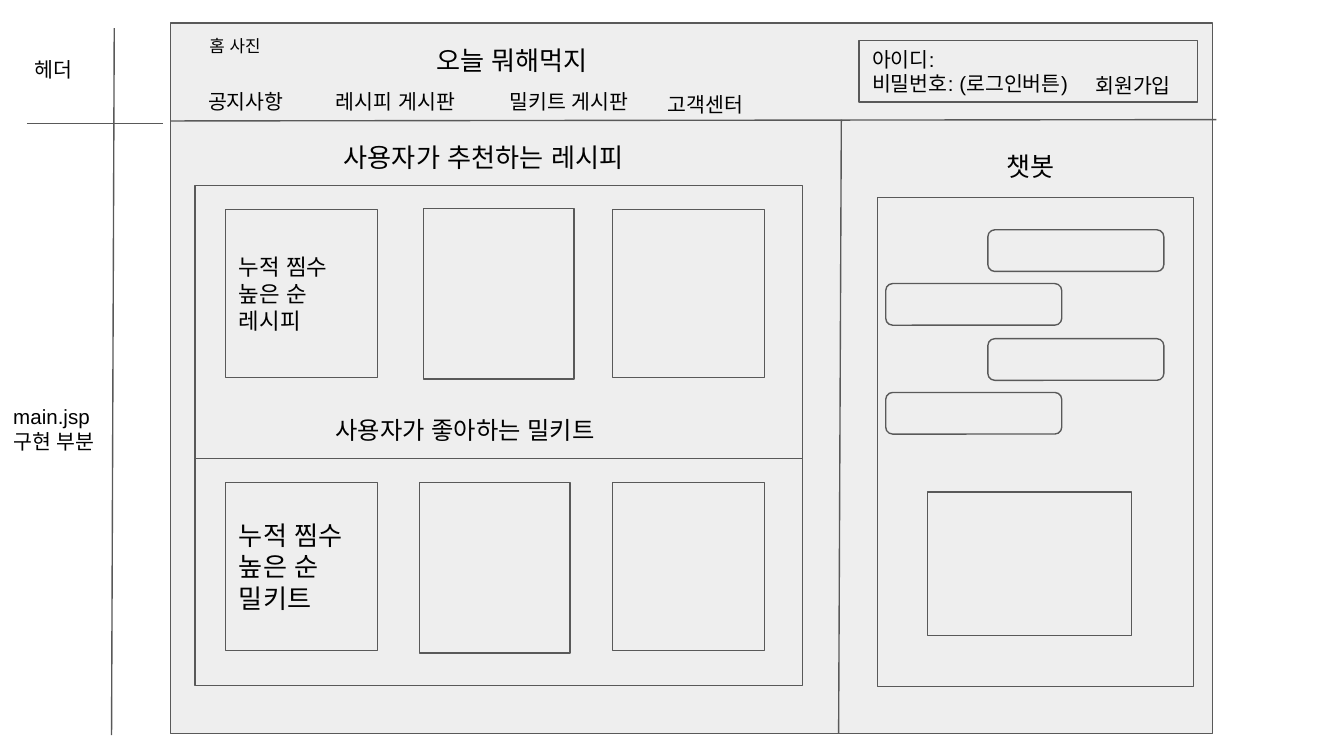
import pptx
import pptx.util
import pptx.dml.color
import pptx.enum.lang
import pptx.enum.shapes
import pptx.enum.text
import pptx.oxml.ns
from lxml import etree

EMU_PER_PX = 9144
PANEL = pptx.dml.color.RGBColor(0xEE, 0xEE, 0xEE)
OUTLINE = pptx.dml.color.RGBColor(0x59, 0x59, 0x59)
BLACK = pptx.dml.color.RGBColor(0, 0, 0)
SHAPE = pptx.enum.shapes.MSO_SHAPE
ANCHOR = pptx.enum.text.MSO_ANCHOR
ALIGN = pptx.enum.text.PP_ALIGN
FIT = pptx.enum.text.MSO_AUTO_SIZE


def px(count):
    return pptx.util.Emu(count * EMU_PER_PX)


def inside(box, left, top, width, height):
    return box[0] + left, box[1] + top, width, height


def write(shape, text, size=11, align=ALIGN.LEFT, anchor=ANCHOR.TOP, fit=FIT.NONE):
    frame = shape.text_frame
    frame.word_wrap = True
    frame.auto_size = fit
    frame.vertical_anchor = anchor
    frame.margin_left = frame.margin_right = px(10)
    frame.margin_top = frame.margin_bottom = px(10)
    para = frame.paragraphs[0]
    para.text = text
    para.alignment = align
    for span in para.runs:
        span.font.name = "Arial"
        span.font.size = pptx.util.Pt(size)
        span.font.color.rgb = BLACK
        span.font.language_id = pptx.enum.lang.MSO_LANGUAGE_ID.KOREAN
    for line_break in shape.element.iter(pptx.oxml.ns.qn("a:br")):
        etree.SubElement(line_break, pptx.oxml.ns.qn("a:rPr"), sz=str(size * 100))


def add_label(page, box, text, fit=FIT.SHAPE_TO_FIT_TEXT, **style):
    write(page.shapes.add_textbox(*map(px, box)), text, fit=fit, **style)


def add_panel(page, box, kind=SHAPE.RECTANGLE):
    panel = page.shapes.add_shape(kind, *map(px, box))
    panel.shadow.inherit = False
    panel.fill.solid()
    panel.fill.fore_color.rgb = PANEL
    panel.line.color.rgb = OUTLINE
    panel.line.width = pptx.util.Pt(0.75)
    return panel


def add_rule(page, box, start, end):
    points = [box[0] + start[0], box[1] + start[1], box[0] + end[0], box[1] + end[1]]
    rule = page.shapes.add_connector(
        pptx.enum.shapes.MSO_CONNECTOR.STRAIGHT, *map(px, points))
    rule.line.color.rgb = OUTLINE
    rule.line.width = pptx.util.Pt(0.75)
    etree.SubElement(rule.element.spPr, pptx.oxml.ns.qn("a:effectLst"))


def build_side_notes(page, box):
    add_rule(page, box, (85, 21), (83, 547))
    add_rule(page, box, (20, 92), (121, 92))
    add_label(page, inside(box, 16, 33, 56, 39), "헤더")
    add_label(page, inside(box, 0, 291, 86, 57), "main.jsp 구현 부분")


def build_header(page, box):
    title = page.shapes.title
    title.left, title.top, title.width, title.height = map(px, inside(box, 77, 6, 354, 44))
    write(title, "오늘 뭐해먹지", size=14, align=ALIGN.CENTER, fit=FIT.SHAPE_TO_FIT_TEXT)
    page.shapes[-1].element.addnext(title.element)
    add_label(page, inside(box, 19, 2, 63, 35), "홈 사진", size=9)
    menu = [("공지사항", 18, 40, 86), ("레시피 게시판", 113, 40, 125),
            ("밀키트 게시판", 242, 40, 125), ("고객센터", 360, 42, 125)]
    for text, left, top, width in menu:
        add_label(page, inside(box, left, top, width, 39), text)
    login = add_panel(page, inside(box, 512, 13, 252, 46))
    write(login, "아이디:\v비밀번호: (로그인버튼)", anchor=ANCHOR.MIDDLE)
    add_label(page, inside(box, 678, 28, 101, 39), "회원가입")
    add_rule(page, box, (0, 73), (778, 72))


def build_card_row(page, box, text, size, middle):
    first = add_panel(page, inside(box, 0, 0, 113, 125))
    write(first, text, size=size, anchor=ANCHOR.MIDDLE)
    add_panel(page, inside(box, *middle, 112, 127))
    add_panel(page, inside(box, 288, 0, 113, 125))


def build_recommendations(page, box):
    add_panel(page, box)
    add_label(page, inside(box, 101, -43, 270, 44), "사용자가 추천하는 레시피", size=14)
    build_card_row(page, inside(box, 23, 18, 401, 127),
                   "누적 찜수 높은 순 레시피", 12, (147, -1))
    add_rule(page, box, (0, 203), (452, 203))
    add_label(page, inside(box, 95, 161, 296, 44), "사용자가 좋아하는 밀키트",
              size=13, fit=FIT.NONE)
    build_card_row(page, inside(box, 23, 221, 401, 127),
                   "누적 찜수 높은 순 밀키트", 14, (144, 0))


def build_chatbot(page, box):
    add_panel(page, box)
    add_label(page, inside(box, 86, -45, 63, 44), "챗봇", size=14)
    for index, top in enumerate((24, 64, 105, 145)):
        left = 6 if index % 2 else 82
        add_panel(page, inside(box, left, top, 131, 31), SHAPE.ROUNDED_RECTANGLE)
    add_panel(page, inside(box, 37, 219, 152, 107))


def build_wireframe(page, box):
    add_panel(page, box)
    build_header(page, inside(box, 0, 0, 775, 73))
    build_recommendations(page, inside(box, 18, 121, 452, 372))
    build_chatbot(page, inside(box, 526, 130, 235, 364))
    add_rule(page, box, (497, 529), (499, 72))


def main():
    deck = pptx.Presentation()
    deck.slide_width = px(1000)
    deck.slide_height = deck.slide_width * 9 // 16
    page = deck.slides.add_slide(deck.slide_layouts[5])
    build_wireframe(page, (127, 17, 775, 529))
    build_side_notes(page, (0, 0, 127, 562))
    deck.save("out.pptx")


if __name__ == "__main__":
    main()
